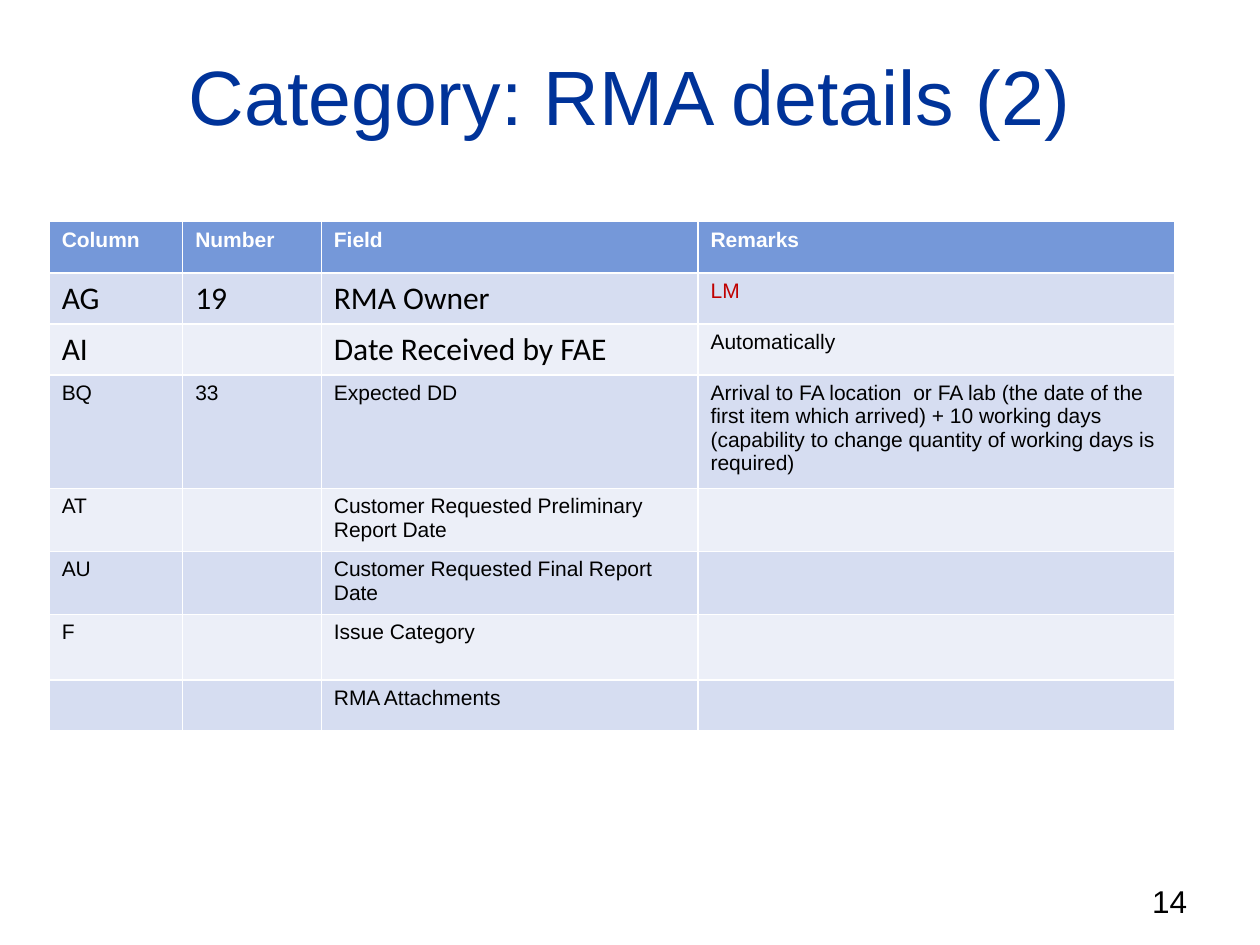
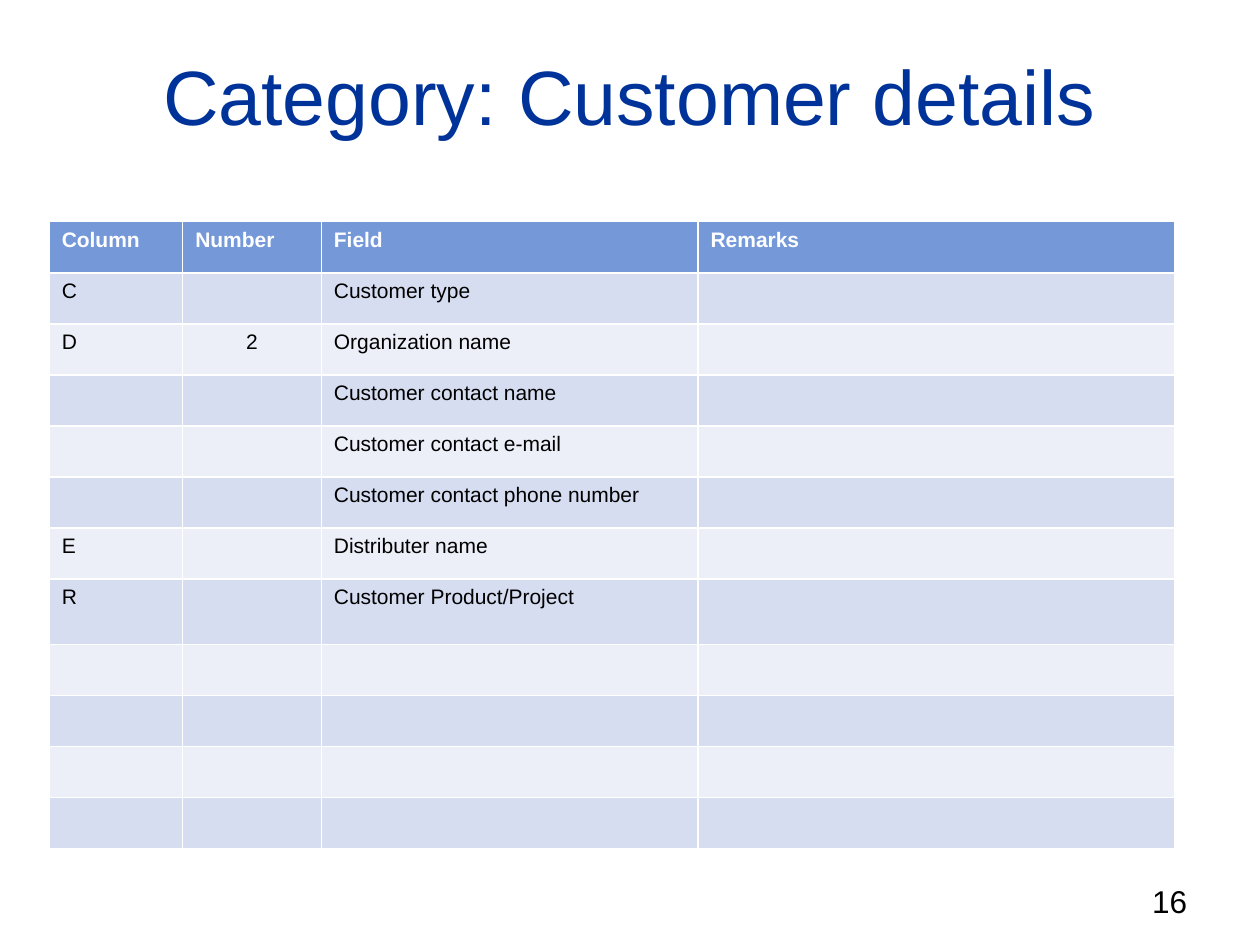
from pptx import Presentation
from pptx.dml.color import RGBColor
from pptx.enum.text import MSO_ANCHOR, PP_ALIGN
from pptx.util import Inches, Pt

COLORS = {
    "title": "003399",
    "text": "000000",
    "alert": "C00000",
    "head": "7598D9",
    "white": "FFFFFF",
    "odd": "D6DDF1",
    "even": "ECEFF8",
}
HEADS = ("Column", "Number", "Field", "Remarks")
WIDTHS = (1.06, 1.1, 2.99, 3.78)
ROW = 4.46 / 11
TALL = 0.52

RMA_ROWS = [
    ("AG", "19", "RMA Owner", "LM"),
    ("AI", "", "Date Received by FAE", "Automatically"),
    ("BQ", "33", "Expected DD",
     "Arrival to FA location  or FA lab (the date of the first item which "
     "arrived) + 10 working days (capability to change quantity of working "
     "days is required)"),
    ("AT", "", "Customer Requested Preliminary Report Date", ""),
    ("AU", "", "Customer Requested Final Report Date", ""),
    ("F", "", "Issue Category", ""),
    ("", "", "RMA Attachments", ""),
]
LARGE = {"size": 18, "name": "Calibri"}
RMA_STYLES = {(row, col): LARGE for row in (1, 2) for col in range(3)}
RMA_STYLES[1, 3] = {"color": "alert"}

CLIENT_ROWS = [
    ("C", "", "Customer type", ""),
    ("D", "2", "Organization name", ""),
    ("", "", "Customer contact name", ""),
    ("", "", "Customer contact e-mail", ""),
    ("", "", "Customer contact phone number", ""),
    ("E", "", "Distributer name", ""),
    ("R", "", "Customer Product/Project", ""),
] + [("",) * 4] * 4
CLIENT_STYLES = {(2, 1): {"align": PP_ALIGN.CENTER}}


def rgb(name):
    return RGBColor.from_string(COLORS[name])


def write(frame, text, size=12, color="text", name="Arial", bold=False,
          align=PP_ALIGN.LEFT):
    frame.word_wrap = True
    para = frame.paragraphs[0]
    para.text = text
    para.alignment = align
    para.font.size = Pt(size)
    para.font.name = name
    para.font.bold = bold
    para.font.color.rgb = rgb(color)


def add_page(deck, title, number):
    slide = deck.slides.add_slide(deck.slide_layouts[5])
    head = slide.shapes.title
    head.left, head.top = Inches(0.5), Inches(0.28)
    head.width, head.height = Inches(9), Inches(0.95)
    head.text_frame.vertical_anchor = MSO_ANCHOR.MIDDLE
    write(head.text_frame, title, 44, "title", align=PP_ALIGN.CENTER)
    box = slide.shapes.add_textbox(
        Inches(7.19), Inches(6.95), Inches(2.33), Inches(0.4))
    write(box.text_frame, number, 18, align=PP_ALIGN.RIGHT)
    return slide


def add_fields(slide, rows, styles, tall):
    lines = [HEADS] + rows
    heights = [TALL if row == tall else ROW for row in range(len(lines))]
    table = slide.shapes.add_table(
        len(lines), len(HEADS), Inches(0.39), Inches(1.76),
        Inches(sum(WIDTHS)), Inches(sum(heights))).table
    for column, width in zip(table.columns, WIDTHS):
        column.width = Inches(width)
    for row, line in enumerate(lines):
        table.rows[row].height = Inches(heights[row])
        fill = "head" if row == 0 else "odd" if row % 2 else "even"
        for col, text in enumerate(line):
            cell = table.cell(row, col)
            cell.fill.solid()
            cell.fill.fore_color.rgb = rgb(fill)
            if row == 0:
                write(cell.text_frame, text, color="white", bold=True)
            elif text:
                write(cell.text_frame, text, **styles.get((row, col), {}))


def main():
    deck = Presentation()
    deck.slide_width, deck.slide_height = Inches(10), Inches(7.5)
    slide = add_page(deck, "Category: RMA details (2)", "14")
    add_fields(slide, RMA_ROWS, RMA_STYLES, tall=6)
    slide = add_page(deck, "Category: Customer details", "16")
    add_fields(slide, CLIENT_ROWS, CLIENT_STYLES, tall=7)
    deck.save("out.pptx")


if __name__ == "__main__":
    main()
